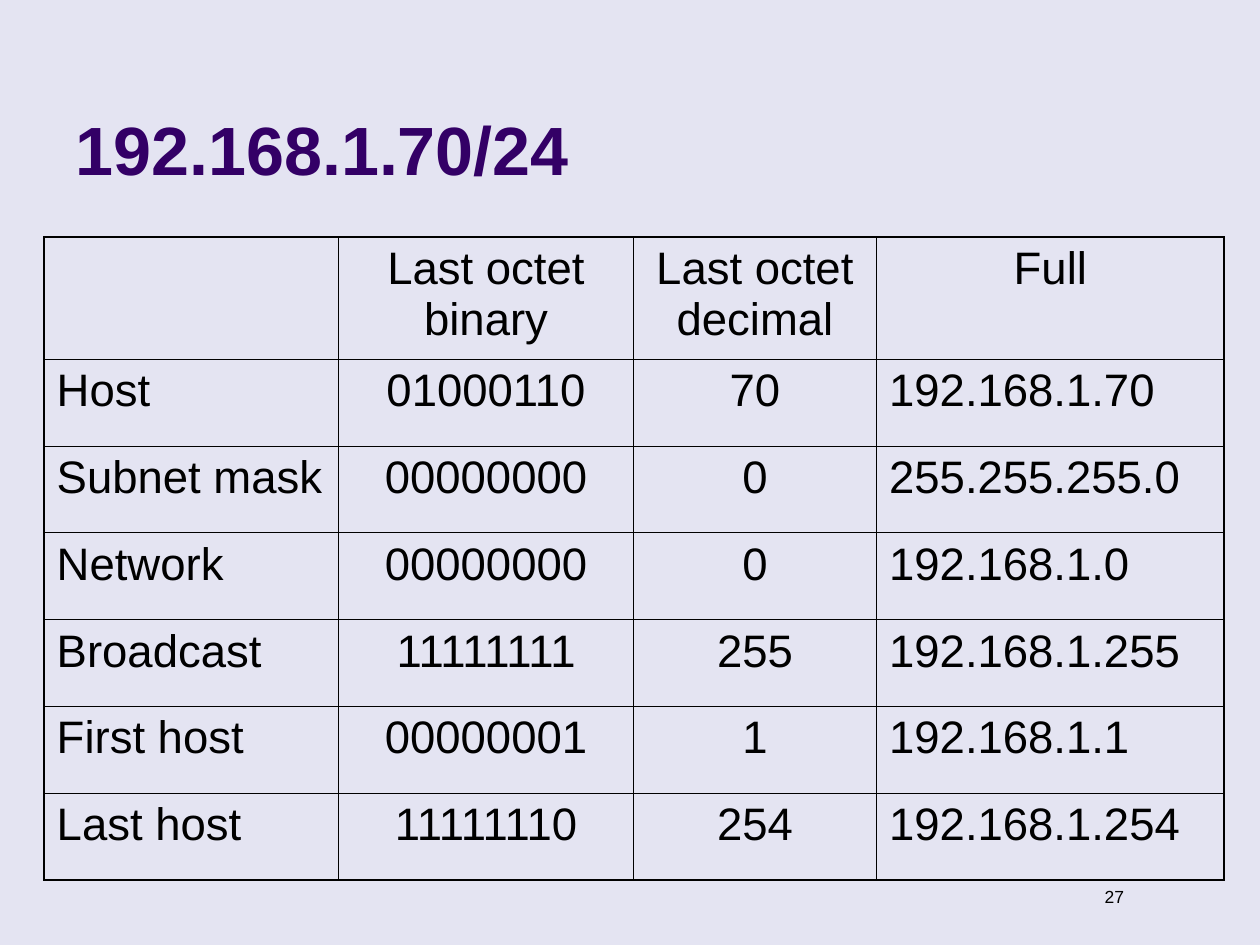
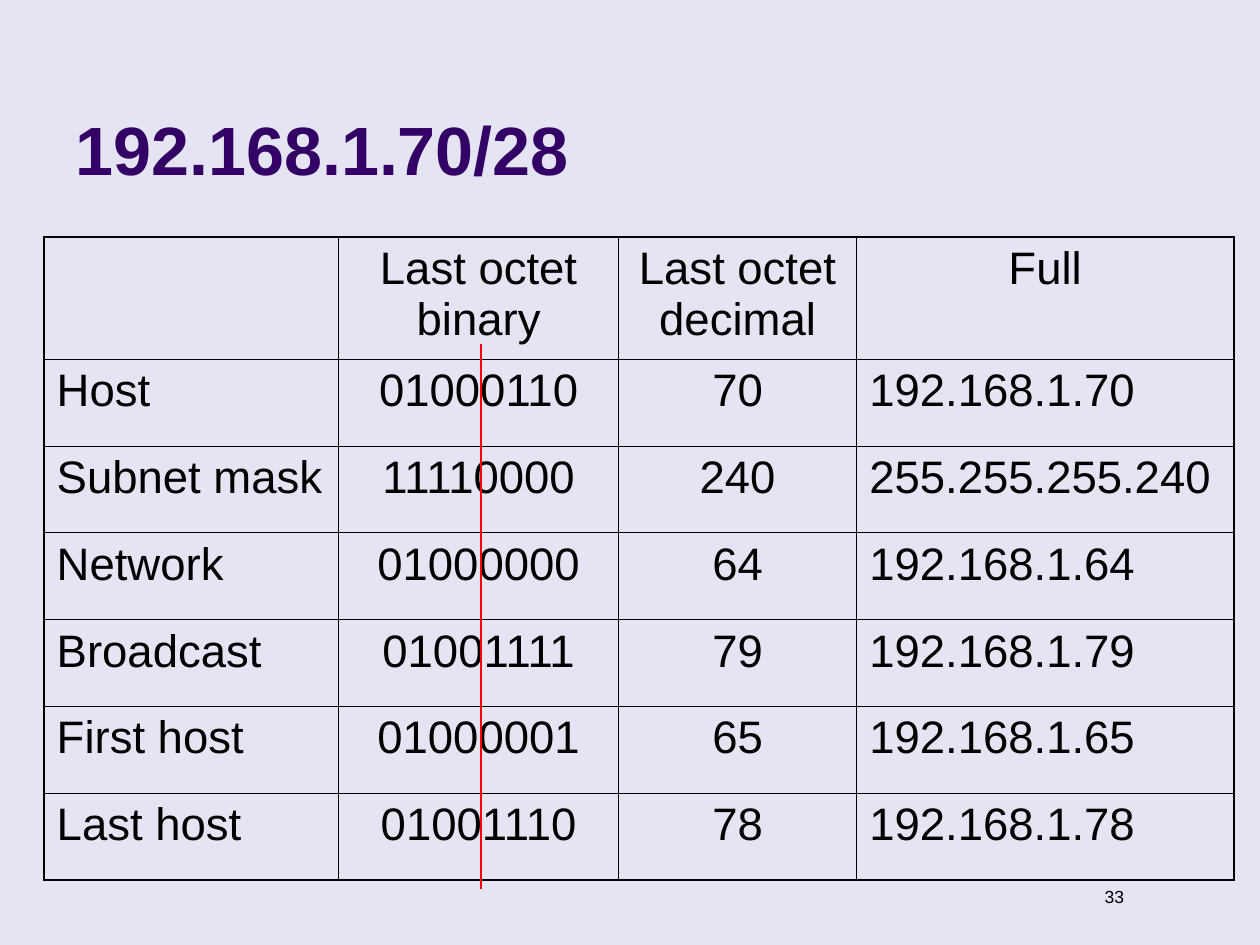
import dataclasses

import lxml.etree
import pptx
import pptx.dml.color
import pptx.enum.shapes
import pptx.enum.text
import pptx.oxml.ns
import pptx.util

Cm = pptx.util.Cm
Pt = pptx.util.Pt
qn = pptx.oxml.ns.qn
Align = pptx.enum.text.PP_ALIGN


# Colours, font, type sizes and line widths
@dataclasses.dataclass(frozen=True)
class Theme:
    font: str = "Arial"
    back: str = "E4E4F2"
    ink: str = "000000"
    head: str = "330066"
    split: str = "FF0000"
    title: float = 39
    body: float = 26
    small: float = 10
    thin: float = 0.45
    thick: float = 1.08
    mark: float = 0.75


THEME = Theme()


def color(code):
    return pptx.dml.color.RGBColor.from_string(code)


def write(frame, text, size=THEME.body, ink=THEME.ink, bold=False, align=Align.LEFT):
    """Put one formatted paragraph into a text frame."""
    para = frame.paragraphs[0]
    para.text = text
    para.alignment = align
    para.space_before = Pt(0)
    font = para.font
    font.name, font.size, font.bold = THEME.font, Pt(size), bold
    font.color.rgb = color(ink)


class Deck:
    def __init__(self, theme):
        self.theme = theme
        self.prs = pptx.Presentation()
        self.prs.slide_width, self.prs.slide_height = Cm(25.4), Cm(19.05)
        fill = self.prs.slide_master.background.fill
        fill.solid()
        fill.fore_color.rgb = color(theme.back)
        self.slide = None

    # Slide with its title and page number
    def page(self, title, number):
        self.slide = self.prs.slides.add_slide(self.prs.slide_layouts[5])
        shape = self.slide.shapes.title
        shape.left, shape.top = Cm(1.27), Cm(0.33)
        shape.width, shape.height = Cm(20.96), Cm(3.61)
        frame = shape.text_frame
        frame.auto_size = pptx.enum.text.MSO_AUTO_SIZE.NONE
        frame.vertical_anchor = pptx.enum.text.MSO_ANCHOR.BOTTOM
        write(frame, title, size=self.theme.title, ink=self.theme.head, bold=True)

        box = self.slide.shapes.add_textbox(Cm(21.31), Cm(17.73), Cm(1.6), Cm(0.69))
        box.text_frame.word_wrap = True
        write(box.text_frame, str(number), size=self.theme.small, align=Align.RIGHT)

    # One border of a table cell
    def edge(self, cell, side, outer):
        width = Pt(self.theme.thick if outer else self.theme.thin)
        props = cell._tc.get_or_add_tcPr()
        line = lxml.etree.SubElement(props, qn("a:ln" + side), w=str(width))
        fill = lxml.etree.SubElement(line, qn("a:solidFill"))
        lxml.etree.SubElement(fill, qn("a:srgbClr"), val=self.theme.ink)

    # Table with thin inner and thick outer borders
    def table(self, rows, widths):
        heights = [2.46] + [1.75] * (len(rows) - 1)
        grid = self.slide.shapes.add_table(
            len(rows), len(widths), Cm(0.89), Cm(4.78),
            Cm(sum(widths)), Cm(sum(heights))).table
        grid.first_row = grid.horz_banding = False
        for col, width in zip(grid.columns, widths):
            col.width = Cm(width)
        for row, height in zip(grid.rows, heights):
            row.height = Cm(height)

        end_row, end_col = len(rows) - 1, len(widths) - 1
        for r, row in enumerate(rows):
            for c, text in enumerate(row):
                cell = grid.cell(r, c)
                self.edge(cell, "L", c == 0)
                self.edge(cell, "R", c == end_col)
                self.edge(cell, "T", r == 0)
                self.edge(cell, "B", r == end_row)
                cell.fill.background()
                mid = r == 0 or 0 < c < end_col
                write(cell.text_frame, text, align=Align.CENTER if mid else Align.LEFT)

    # Upright line between network bits and host bits
    def split(self, x, top, end):
        line = self.slide.shapes.add_connector(
            pptx.enum.shapes.MSO_CONNECTOR.STRAIGHT, Cm(x), Cm(top), Cm(x), Cm(end))
        line.line.color.rgb = color(self.theme.split)
        line.line.width = Pt(self.theme.mark)
        lxml.etree.SubElement(line._element.spPr, qn("a:effectLst"))


HEADS = ["", "Last octet binary", "Last octet decimal", "Full"]
NAMES = ["Host", "Subnet mask", "Network", "Broadcast", "First host", "Last host"]
NET = "192.168.1."


def octets(values):
    """Make the table rows from the last octet of each address."""
    rows = [HEADS]
    for name, value in zip(NAMES, values):
        base = "255.255.255." if name == "Subnet mask" else NET
        rows.append([name, f"{value:08b}", str(value), f"{base}{value}"])
    return rows


def main():
    deck = Deck(THEME)

    # Subnet with 24 network bits
    deck.page("192.168.1.70/24", 27)
    deck.table(octets([70, 0, 0, 255, 1, 254]), [5.94, 5.94, 4.9, 7.01])

    # Subnet with 28 network bits
    deck.page("192.168.1.70/28", 33)
    deck.table(octets([70, 240, 64, 79, 65, 78]), [5.94, 5.64, 4.8, 7.6])
    deck.split(9.7, 6.93, 17.93)

    deck.prs.save("out.pptx")


if __name__ == "__main__":
    main()
